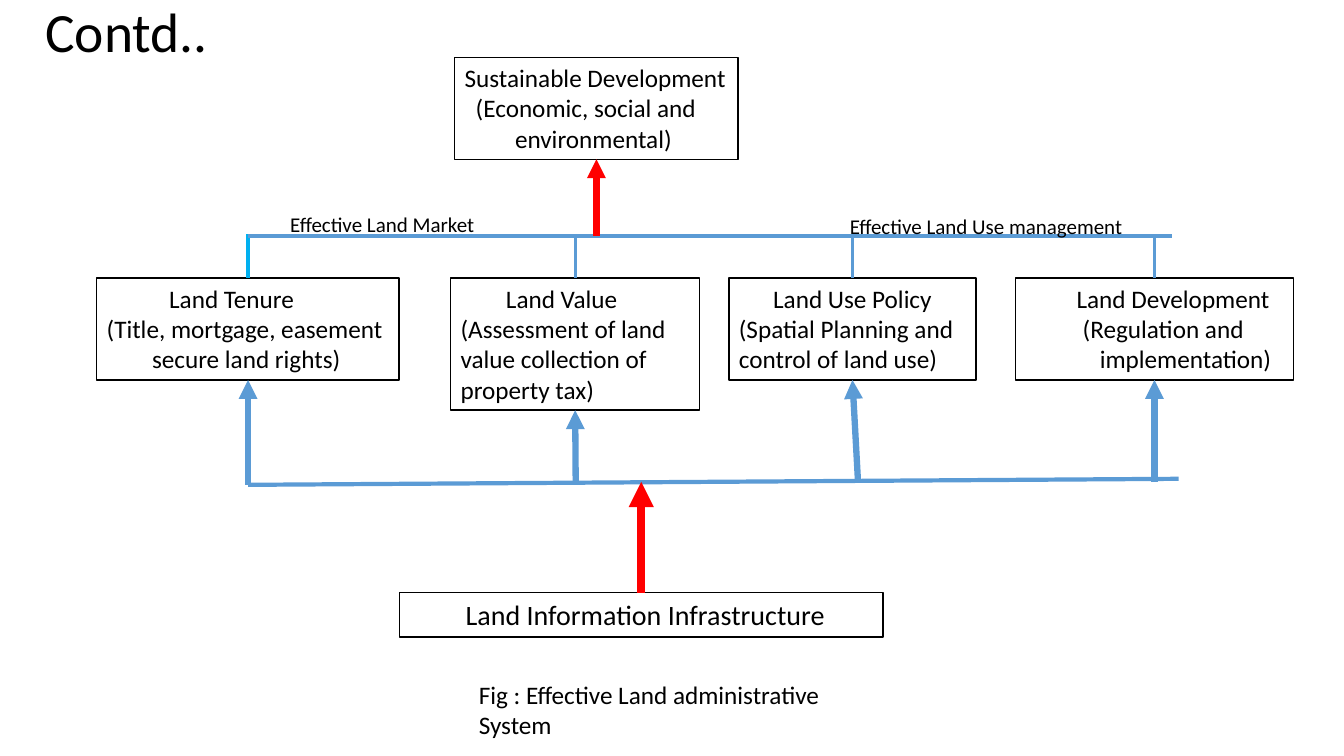
import dataclasses

import pptx
import pptx.dml.color
import pptx.enum.shapes
import pptx.enum.text
import pptx.oxml
import pptx.oxml.ns
import pptx.util

Inches = pptx.util.Inches
Pt = pptx.util.Pt


@dataclasses.dataclass(frozen=True)
class Theme:
    font: str = "Calibri"
    black: str = "000000"
    white: str = "FFFFFF"
    blue: str = "5B9BD5"
    cyan: str = "00B0F0"
    red: str = "FF0000"
    title: float = 39.6
    base: float = 20
    body: float = 18
    label: float = 15


@dataclasses.dataclass(frozen=True)
class Box:
    left: float
    top: float
    width: float
    height: float

    @property
    def lengths(self):
        return [Inches(value) for value in dataclasses.astuple(self)]

    @property
    def center(self):
        return self.left + self.width / 2

    @property
    def bottom(self):
        return self.top + self.height


THEME = Theme()
TOP, BOTTOM = 0, 2


def rgb(color):
    return pptx.dml.color.RGBColor.from_string(color)


def apply_format(target, values):
    for name, value in values.items():
        setattr(target, name, value)


def write_text(shape, lines, size):
    frame = shape.text_frame
    apply_format(frame, {
        "word_wrap": True,
        "vertical_anchor": pptx.enum.text.MSO_ANCHOR.TOP,
        "auto_size": pptx.enum.text.MSO_AUTO_SIZE.SHAPE_TO_FIT_TEXT,
    })
    for index, (text, indent) in enumerate(lines):
        paragraph = frame.paragraphs[0] if index == 0 else frame.add_paragraph()
        properties = paragraph._p.get_or_add_pPr()
        properties.set("marL", str(Inches(indent)))
        properties.set("indent", "0")
        paragraph.text = text
        paragraph.alignment = pptx.enum.text.PP_ALIGN.LEFT
        apply_format(paragraph.font, {"name": THEME.font, "size": Pt(size)})
        paragraph.font.color.rgb = rgb(THEME.black)


def draw_title(slide, box, text):
    title = slide.shapes.title
    apply_format(title, dict(zip(("left", "top", "width", "height"), box.lengths)))
    write_text(title, [(text, 0)], THEME.title)
    apply_format(title.text_frame, {
        "vertical_anchor": pptx.enum.text.MSO_ANCHOR.MIDDLE,
        "auto_size": pptx.enum.text.MSO_AUTO_SIZE.NONE,
    })
    title.text_frame.paragraphs[0].line_spacing = 0.9


def draw_frame(slide, box, lines, size=THEME.body):
    shape = slide.shapes.add_shape(
        pptx.enum.shapes.MSO_SHAPE.RECTANGLE, *box.lengths)
    shape.shadow.inherit = False
    shape.fill.solid()
    shape.fill.fore_color.rgb = rgb(THEME.white)
    shape.line.color.rgb = rgb(THEME.black)
    shape.line.width = Pt(1)
    write_text(shape, lines, size)
    return shape


def draw_label(slide, box, text, size):
    write_text(slide.shapes.add_textbox(*box.lengths), [(text, 0)], size)


def draw_line(slide, start, end, color, width, arrow=False):
    connector = slide.shapes.add_connector(
        pptx.enum.shapes.MSO_CONNECTOR.STRAIGHT,
        *[Inches(value) for value in (*start, *end)])
    connector.line.color.rgb = rgb(color)
    connector.line.width = Pt(width)
    if arrow:
        outline = connector.line._get_or_add_ln()
        tail = pptx.oxml.parse_xml(
            f'<a:tailEnd {pptx.oxml.ns.nsdecls("a")} type="triangle"/>')
        outline.append(tail)
    connector._element.spPr.append(
        pptx.oxml.parse_xml(f'<a:effectLst {pptx.oxml.ns.nsdecls("a")}/>'))
    return connector


def draw_goal(slide, box, bus_top):
    goal = draw_frame(slide, box, [
        ("Sustainable Development", 0),
        ("(Economic, social and", 0.11),
        ("environmental)", 0.5),
    ])
    arrow = draw_line(slide, (box.center, bus_top), (box.center, box.bottom),
                      THEME.red, 4.5, arrow=True)
    arrow.end_connect(goal, TOP if bus_top < box.top else BOTTOM)


def draw_pillar(slide, box, lines, stem_top, stem_color, foot):
    pillar = draw_frame(slide, box, lines)
    stem = draw_line(slide, (box.center, box.top), (box.center, stem_top),
                     stem_color, 2.25)
    stem.begin_connect(pillar, TOP)
    arrow = draw_line(slide, foot, (box.center, box.bottom),
                      THEME.blue, 4.5, arrow=True)
    arrow.end_connect(pillar, BOTTOM)


def draw_pillars(slide, box):
    pillars = [
        (0, 3, 1.01, 2.32, THEME.cyan, (2.46, 4.81), [
            ("Land Tenure", 0.62),
            ("(Title, mortgage, easement", 0),
            ("secure land rights)", 0.45)]),
        (3.51, 2.47, 1.31, 2.32, THEME.blue, (5.71, 4.78), [
            ("Land Value", 0.45),
            ("(Assessment of land value collection of property tax)", 0)]),
        (6.27, 2.45, 1.01, 2.36, THEME.blue, (8.51, 4.78), [
            ("Land Use Policy", 0.34),
            ("(Spatial Planning and control of land use)", 0)]),
        (9.11, 2.76, 1.01, 2.34, THEME.blue, (11.45, 4.78), [
            ("Land Development", 0.51),
            ("(Regulation and", 0.57),
            ("implementation)", 0.74)]),
    ]
    for offset, width, height, stem_top, stem_color, foot, lines in pillars:
        pillar_box = Box(box.left + offset, box.top, width, height)
        draw_pillar(slide, pillar_box, lines, stem_top, stem_color, foot)


def draw_buses(slide, box):
    draw_line(slide, (box.left, box.top), (box.left + 9.16, box.top),
              THEME.blue, 3)
    draw_line(slide, (box.left, box.bottom),
              (box.left + box.width, box.bottom - 0.06), THEME.blue, 3)
    draw_label(slide, Box(box.left + 0.32, box.top - 0.29, 2.55, 0.35),
               "Effective Land Market", THEME.label)
    draw_label(slide, Box(box.left + 5.87, box.top - 0.27, 3.47, 0.35),
               "Effective Land Use management", THEME.label)


def draw_base(slide, box, bus_bottom):
    base = draw_frame(slide, box, [("Land Information Infrastructure", 0.56)],
                      THEME.base)
    arrow = draw_line(slide, (box.center, box.top), (box.center, bus_bottom),
                      THEME.red, 6, arrow=True)
    arrow.begin_connect(base, TOP)


def main():
    presentation = pptx.Presentation()
    apply_format(presentation, {
        "slide_width": Inches(13.33), "slide_height": Inches(7.5)})
    slide = presentation.slides.add_slide(presentation.slide_layouts[5])
    buses = Box(2.46, 2.34, 9.23, 2.47)
    draw_title(slide, Box(0.35, 0.11, 11.5, 0.46), "Contd..")
    draw_pillars(slide, Box(0.96, 2.76, 11.87, 1.31))
    draw_buses(slide, buses)
    draw_goal(slide, Box(4.51, 0.57, 2.81, 1.01), buses.top)
    draw_base(slide, Box(3.96, 5.88, 4.8, 0.44), 4.78)
    draw_label(slide, Box(4.65, 6.69, 4.02, 0.71),
               "Fig : Effective Land administrative System", THEME.body)
    presentation.save("out.pptx")


if __name__ == "__main__":
    main()
